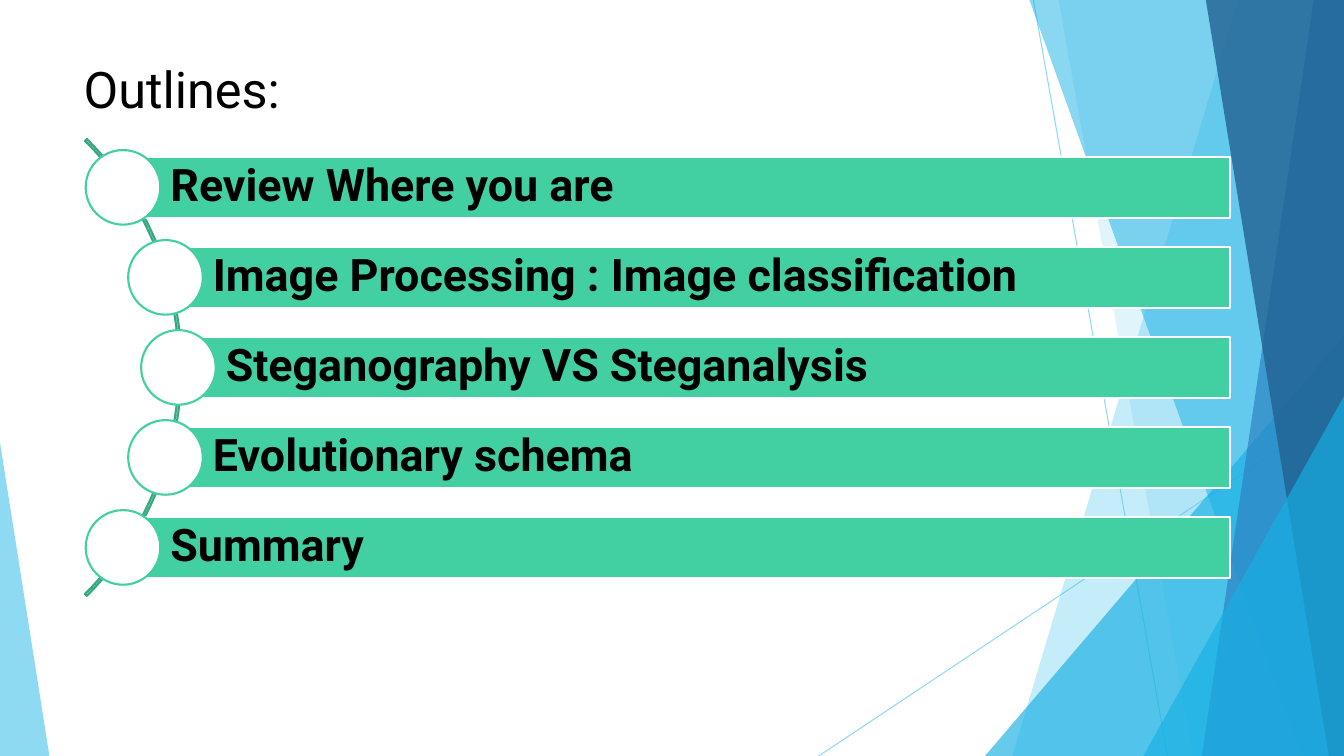
from math import sqrt

from lxml import etree
from pptx import Presentation
from pptx.dml.color import RGBColor
from pptx.enum.shapes import MSO_CONNECTOR, MSO_SHAPE
from pptx.enum.text import MSO_ANCHOR, PP_ALIGN
from pptx.oxml.ns import qn
from pptx.util import Inches, Pt

LINE = MSO_CONNECTOR.STRAIGHT
ARC = MSO_SHAPE.BLOCK_ARC
BAR = MSO_SHAPE.RECTANGLE
DOT = MSO_SHAPE.OVAL
WEDGE = MSO_SHAPE.ISOSCELES_TRIANGLE
MIDDLE = MSO_ANCHOR.MIDDLE
TOP = MSO_ANCHOR.TOP
LEFT = PP_ALIGN.LEFT

WIDE, HIGH = 13.33, 7.5
FONT = "Roboto"
SKY, CYAN, BLUE, NAVY = "5FCBEF", "17B0E4", "2E83C3", "226292"
MINT, GREEN, WHITE, BLACK = "42D0A2", "35A782", "FFFFFF", "000000"

BANDS = [
    (12.28, 10.04, SKY, 36),
    (10.5, 11.83, SKY, 20),
    (10.21, 12.91, CYAN, 50),
    (13.03, 11.92, BLUE, 70),
    (11.96, 13.18, NAVY, 80),
]
WEDGES = [
    (9.77, 3.33, 3.56, 1, CYAN, 66),
    (11.34, 3.93, 1.99, 1, CYAN, 66),
    (0, 4.39, 0.49, 0, SKY, 70),
]
RAYS = [(10.25, 0, 11.58, HIGH), (WIDE, 4.03, 8.12, HIGH)]
TOPICS = [
    "Review Where you are",
    "Image Processing : Image classification",
    "Steganography VS Steganalysis",
    "Evolutionary schema",
    "Summary",
]


def paint(part, color, alpha=100):
    """Set a solid colour on a fill, with its opacity in percent."""
    part.solid()
    part.fore_color.rgb = RGBColor.from_string(color)
    if alpha < 100:
        tint = part.fore_color._xFill.find(qn("a:srgbClr"))
        etree.SubElement(tint, qn("a:alpha")).set("val", str(alpha * 1000))


def style(shape, fill=None, line=None, alpha=100):
    """Give a shape its fill and outline, without a shadow."""
    shape.shadow.inherit = False
    if fill:
        paint(shape.fill, fill, alpha)
    else:
        shape.fill.background()
    if line:
        paint(shape.line.fill, line)
        shape.line.width = Pt(1.5)
    else:
        shape.line.fill.background()


def draw(slide, kind, x, y, w, h):
    """Add a preset shape at a box in inches."""
    return slide.shapes.add_shape(kind, *map(Inches, (x, y, w, h)))


def write(shape, text, size=32, bold=False, anchor=MIDDLE, inset=0.1, space=1.0):
    """Put one left-aligned line of text in a shape."""
    frame = shape.text_frame
    frame.word_wrap = True
    frame.vertical_anchor = anchor
    frame.margin_left = Inches(inset)
    para = frame.paragraphs[0]
    para.alignment = LEFT
    para.line_spacing = space
    run = para.add_run()
    run.text = text
    run.font.name = FONT
    run.font.size = Pt(size)
    run.font.bold = bold
    run.font.color.rgb = RGBColor.from_string(BLACK)


def add_ray(slide, x1, y1, x2, y2):
    """Draw one thin sky-blue line."""
    ray = slide.shapes.add_connector(LINE, *map(Inches, (x1, y1, x2, y2)))
    paint(ray.line.fill, SKY, 70)
    ray.line.width = Pt(0.75)
    etree.SubElement(ray._element.spPr, qn("a:effectLst"))


def add_band(slide, top, base, color, alpha):
    """Fill the area from a slanted edge to the right side of the slide."""
    pen = slide.shapes.build_freeform(Inches(top), 0)
    spots = [(WIDE, 0), (WIDE, HIGH), (base, HIGH)]
    pen.add_line_segments([(Inches(x), Inches(y)) for x, y in spots])
    style(pen.convert_to_shape(), color, alpha=alpha)


def add_wedge(slide, x, y, w, peak, color, alpha):
    """Draw a right triangle that stands on the slide's lower edge."""
    wedge = draw(slide, WEDGE, x, y, w, HIGH - y)
    wedge.adjustments[0] = peak
    style(wedge, color, alpha=alpha)


def add_facets(slide):
    """Draw the lines and translucent facets behind the content."""
    for ray in RAYS:
        add_ray(slide, *ray)
    first, second, *rest = BANDS
    add_band(slide, *first)
    add_band(slide, *second)
    add_wedge(slide, *WEDGES[0])
    for band in rest:
        add_band(slide, *band)
    for wedge in WEDGES[1:]:
        add_wedge(slide, *wedge)


def add_title(slide, text, x, y, w, h):
    """Place and fill the title placeholder."""
    title = slide.shapes.title
    title.left, title.top, title.width, title.height = map(Inches, (x, y, w, h))
    write(title, text, size=36, anchor=TOP)


def add_list(slide, topics, x, y, w, h):
    """Set topic bars along a curve that bulges to the right in the box."""
    size, pitch, thick, dot = 6.41, 0.893, 0.6, 0.74
    mid, hub = y + h / 2, x + w - 11.35 - size / 2 + 0.95
    reach = size / 2 - 0.03
    arc = draw(slide, ARC, hub - size / 2, mid - size / 2, size, size)
    for i, value in enumerate((189, 27, 0.004)):
        arc.adjustments[i] = value
    style(arc, line=GREEN)
    for i, topic in enumerate(topics):
        rise = (i - (len(topics) - 1) / 2) * pitch
        left = hub + sqrt(reach**2 - rise**2)
        bar = draw(slide, BAR, left, mid + rise - thick / 2, x + w - left, thick)
        style(bar, MINT, WHITE)
        write(bar, topic, bold=True, inset=0.47, space=0.9)
        ball = draw(slide, DOT, left - dot / 2, mid + rise - dot / 2, dot, dot)
        style(ball, WHITE, MINT)


def main():
    """Build the outline slide and save it."""
    deck = Presentation()
    deck.slide_width, deck.slide_height = Inches(WIDE), Inches(HIGH)
    slide = deck.slides.add_slide(deck.slide_layouts[5])
    add_facets(slide)
    add_title(slide, "Outlines:", 0.73, 0.53, 9.4, 1.44)
    add_list(slide, TOPICS, 0.85, 1.38, 11.35, 4.53)
    deck.save("out.pptx")


if __name__ == "__main__":
    main()
